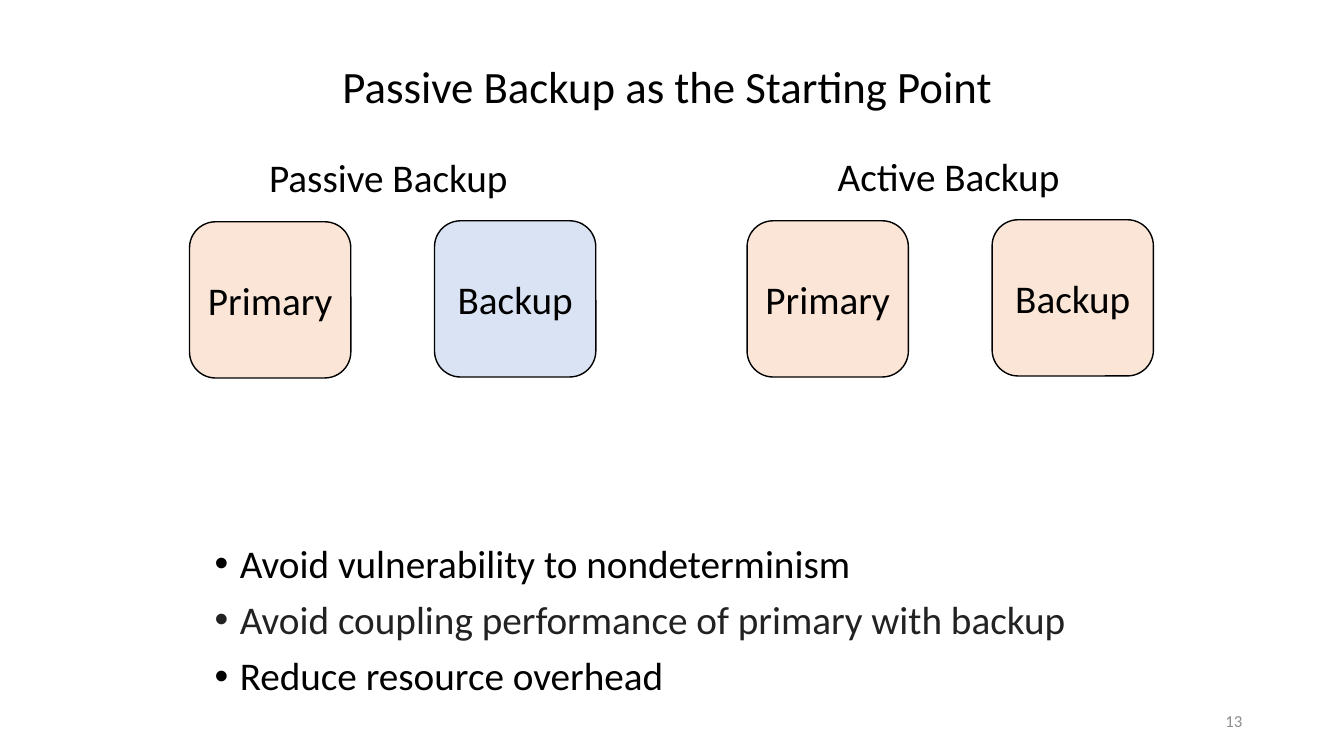
from lxml.etree import SubElement
from pptx import Presentation
from pptx.dml.color import RGBColor
from pptx.enum.shapes import MSO_SHAPE as Shape
from pptx.enum.text import MSO_ANCHOR as Anchor, PP_ALIGN as Align
from pptx.oxml.ns import qn
from pptx.util import Pt

PX = 9144  # 100 px to the inch
BLACK, PEACH, BLUE = "000000", "FBE5D6", "DAE3F3"


def px(length):
    return length * PX


def colour(code):
    return RGBColor.from_string(code)


def write(para, text, size=28, code=BLACK, align=None, spacing=None):
    para.alignment = align
    para.line_spacing = spacing
    span = para.add_run()
    span.text = text
    span.font.name = "Calibri"
    span.font.size = Pt(size)
    span.font.color.rgb = colour(code)


def add_frame(page, box, anchor=Anchor.TOP):
    frame = page.shapes.add_textbox(*map(px, box)).text_frame
    frame.word_wrap = True
    frame.vertical_anchor = anchor
    return frame


def add_title(page, box):
    frame = add_frame(page, box, Anchor.MIDDLE)
    # The trailing space belongs to the centred title line
    write(frame.paragraphs[0], "Passive Backup as the Starting Point ", 32,
          align=Align.CENTER, spacing=0.9)


def add_server(page, box, name, fill):
    server = page.shapes.add_shape(Shape.ROUNDED_RECTANGLE, *map(px, box))
    server.shadow.inherit = False
    server.fill.solid()
    server.fill.fore_color.rgb = colour(fill)
    server.line.color.rgb = colour(BLACK)
    server.line.width = Pt(1)
    server.text_frame.vertical_anchor = Anchor.MIDDLE
    write(server.text_frame.paragraphs[0], name, align=Align.CENTER)


def add_scheme(page, box, heading, indent, backup_fill):
    left, top, width, height = box
    side, tall = 160, 155
    # Heading above the pair
    frame = add_frame(page, (left + indent, top, 271, 58))
    write(frame.paragraphs[0], heading, spacing=0.9)
    # Primary at the left edge, backup at the right edge and 1 px higher
    base = top + height - tall
    add_server(page, (left, base, side, tall), "Primary", PEACH)
    add_server(page, (left + width - side, base - 1, side, tall), "Backup", backup_fill)


def add_bullets(page, box, items):
    frame = add_frame(page, box)
    for index, (text, code) in enumerate(items):
        para = frame.add_paragraph() if index else frame.paragraphs[0]
        properties = para._p.get_or_add_pPr()
        properties.set("marL", str(px(25)))
        properties.set("indent", str(px(-25)))
        SubElement(properties, qn("a:buFont")).set("typeface", "Arial")
        SubElement(properties, qn("a:buChar")).set("char", "•")
        if index:
            para.space_before = Pt(10)
        write(para, text, code=code, spacing=0.9)


def add_page_number(page, box, number):
    frame = add_frame(page, box, Anchor.MIDDLE)
    write(frame.paragraphs[0], number, 12, "8C8C8C", Align.RIGHT)


def main():
    deck = Presentation()
    deck.slide_width, deck.slide_height = px(1333), px(750)
    page = deck.slides.add_slide(deck.slide_layouts[6])

    add_title(page, (92, 16, 1150, 145))
    add_scheme(page, (188, 152, 403, 223), "Passive Backup", 69, BLUE)
    add_scheme(page, (741, 151, 403, 223), "Active Backup", 80, PEACH)
    add_bullets(page, (203, 535, 870, 168), [
        ("Avoid vulnerability to nondeterminism", BLACK),
        ("Avoid coupling performance of primary with backup", "222222"),
        ("Reduce resource overhead", BLACK),
    ])
    add_page_number(page, (942, 695, 300, 40), "13")
    deck.save("out.pptx")


if __name__ == "__main__":
    main()
